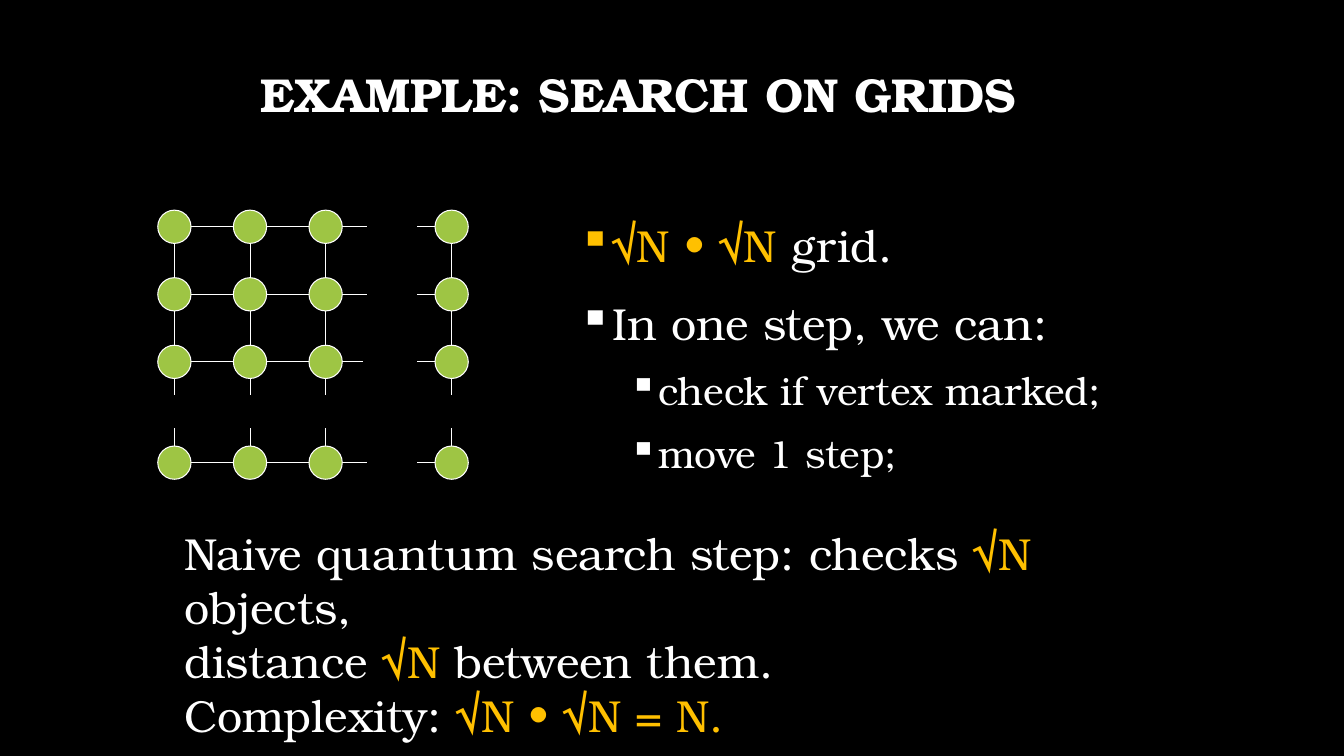
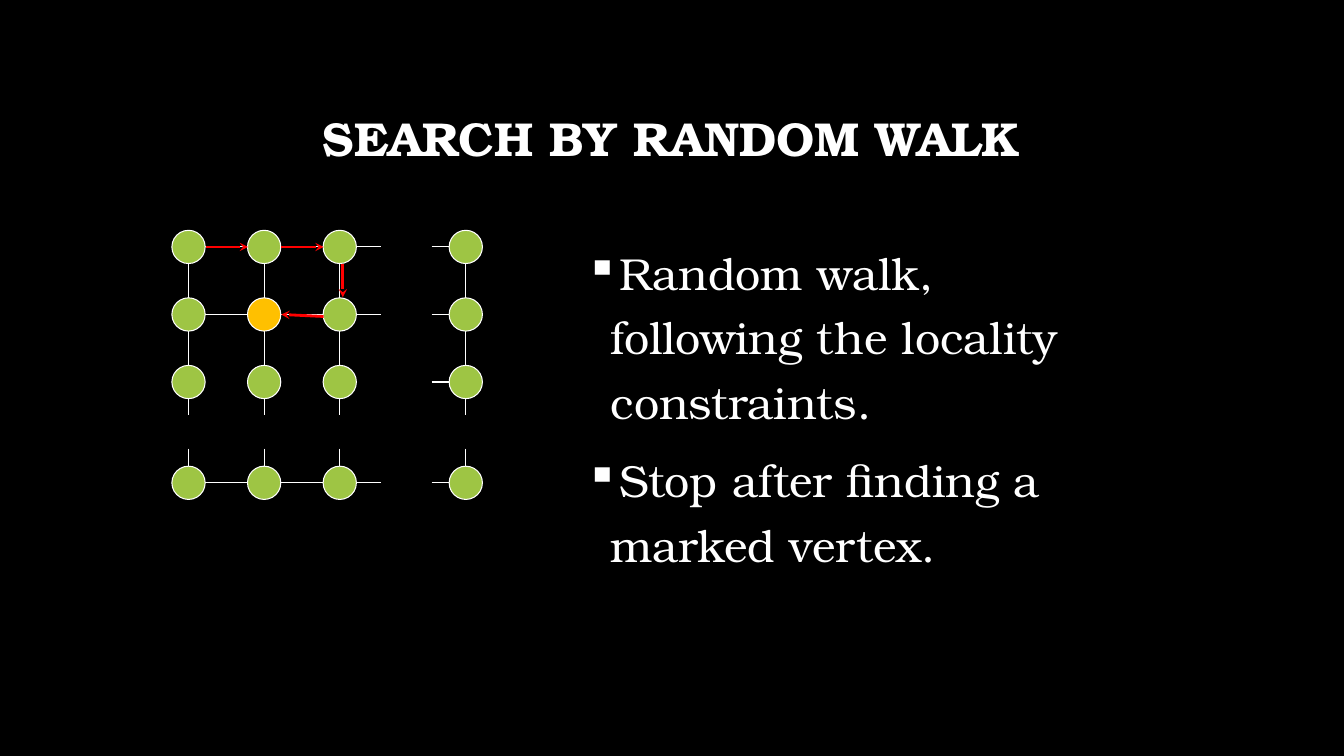
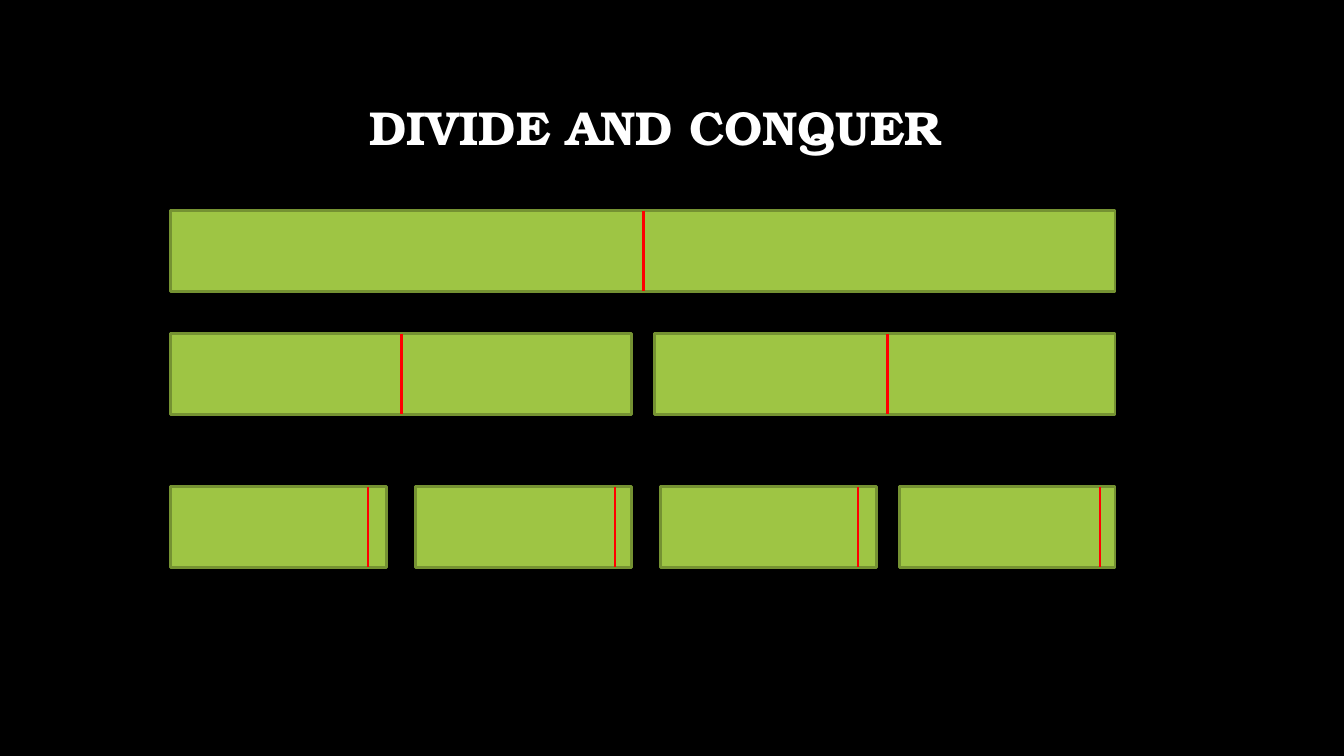
"""Build three slides on quantum search over grids."""
from dataclasses import dataclass
from itertools import product
from typing import NamedTuple, Optional

from lxml.etree import SubElement
from pptx import Presentation
from pptx.dml.color import RGBColor
from pptx.enum.shapes import MSO_CONNECTOR, MSO_SHAPE
from pptx.enum.text import MSO_ANCHOR, MSO_AUTO_SIZE, PP_ALIGN
from pptx.oxml.ns import qn
from pptx.util import Inches, Pt

STRAIGHT = MSO_CONNECTOR.STRAIGHT
OVAL, RECTANGLE = MSO_SHAPE.OVAL, MSO_SHAPE.RECTANGLE
MIDDLE, CENTER = MSO_ANCHOR.MIDDLE, PP_ALIGN.CENTER
NO_AUTOFIT = MSO_AUTO_SIZE.NONE

FONT = "TeX Gyre Bonum"
BLACK, WHITE, RED = "000000", "FFFFFF", "FF0000"
GREEN, DARK_GREEN, GOLD = "9EC544", "759232", "FFC000"

COLUMNS = (0, 0.75, 1.5, 2.75)
ROWS = (0, 0.67, 1.34, 2.34)
NODE_SIZE = 0.33
ROW_LENGTH, COLUMN_LENGTH = 1.91, 1.67
BAR_HEIGHT = 0.8


class Box(NamedTuple):
    """Left, top, width and height in inches."""
    left: float
    top: float
    width: float
    height: float

    def lengths(self) -> list:
        """Return the four measures as lengths."""
        return [Inches(value) for value in self]


class Segment(NamedTuple):
    """Start and end of a line in inches."""
    x1: float
    y1: float
    x2: float
    y2: float


class Span(NamedTuple):
    """A piece of text in one colour."""
    text: str
    color: str = WHITE


@dataclass(frozen=True)
class TextLine:
    """A paragraph, bulleted when it has an indent."""
    spans: tuple
    size: int = 32
    indent: float = 0
    space_before: int = 0
    line_spacing: float = 1.0


@dataclass(frozen=True)
class Lattice:
    """A grid of vertices; a row shift of None leaves the row unlinked."""
    left: float
    top: float
    row_shifts: tuple
    marked: Optional[tuple] = None


@dataclass(frozen=True)
class BarRow:
    """Equal bars at one height, each with a cut."""
    top: float
    width: float
    lefts: tuple
    cuts: tuple


def rgb(color: str) -> RGBColor:
    """Turn a hex string into a colour."""
    return RGBColor.from_string(color)


def set_attributes(target, values: dict) -> None:
    """Set each named attribute on the target."""
    for name, value in values.items():
        setattr(target, name, value)


def add_span(paragraph, span: Span, size: int, bold: bool = False) -> None:
    """Append a formatted run to the paragraph."""
    run = paragraph.add_run()
    run.text = span.text
    set_attributes(run.font, {"name": FONT, "size": Pt(size), "bold": bold})
    run.font.color.rgb = rgb(span.color)


def add_slide(presentation, title: str, box: Box):
    """Add a title-only slide with the shared title style."""
    slide = presentation.slides.add_slide(presentation.slide_layouts[5])
    shape = slide.shapes.title
    place = dict(zip(("left", "top", "width", "height"), box.lengths()))
    set_attributes(shape, place)
    frame = shape.text_frame
    set_attributes(frame, {"auto_size": NO_AUTOFIT, "word_wrap": True,
                           "vertical_anchor": MIDDLE})
    paragraph = frame.paragraphs[0]
    set_attributes(paragraph, {"alignment": CENTER, "line_spacing": 0.9})
    add_span(paragraph, Span(title), 34, bold=True)
    return slide


def add_text(slide, box: Box, lines: list) -> None:
    """Add a text box holding the given lines."""
    frame = slide.shapes.add_textbox(*box.lengths()).text_frame
    frame.word_wrap = True
    for index, line in enumerate(lines):
        paragraph = frame.add_paragraph() if index else frame.paragraphs[0]
        set_attributes(paragraph, {"line_spacing": line.line_spacing,
                                   "space_before": Pt(line.space_before)})
        if line.indent:
            properties = paragraph._p.get_or_add_pPr()
            properties.set("marL", str(Inches(line.indent)))
            properties.set("indent", str(-Inches(0.25)))
            SubElement(properties, qn("a:buChar")).set("char", "▪")
        for span in line.spans:
            add_span(paragraph, span, line.size)


def add_line(slide, segment: Segment, color: str = WHITE,
             width: float = 0.75, arrow: bool = False) -> None:
    """Draw a straight line, with an arrowhead at its end if asked."""
    ends = [Inches(value) for value in segment]
    connector = slide.shapes.add_connector(STRAIGHT, *ends)
    connector.line.color.rgb = rgb(color)
    connector.line.width = Pt(width)
    properties = connector._element.spPr
    if arrow:
        outline = properties.find(qn("a:ln"))
        SubElement(outline, qn("a:tailEnd")).set("type", "stealth")
    SubElement(properties, qn("a:effectLst"))


def add_figure(slide, kind, box: Box, fill: str, line: str,
               width: float) -> None:
    """Draw a filled and outlined preset shape."""
    shape = slide.shapes.add_shape(kind, *box.lengths())
    shape.shadow.inherit = False
    shape.fill.solid()
    shape.fill.fore_color.rgb = rgb(fill)
    shape.line.color.rgb = rgb(line)
    shape.line.width = Pt(width)


def add_lattice(slide, lattice: Lattice) -> None:
    """Draw the links of the grid, then its vertices."""
    left, top = lattice.left, lattice.top
    right, bottom = left + COLUMNS[-1], top + ROWS[-1]
    for row, shift in zip(ROWS, lattice.row_shifts):
        y = top + row
        if shift is not None:
            start = left + shift
            add_line(slide, Segment(start, y, start + ROW_LENGTH, y))
        add_line(slide, Segment(right - 0.34, y, right, y))
    for column in COLUMNS:
        x = left + column
        add_line(slide, Segment(x, top, x, top + COLUMN_LENGTH))
        add_line(slide, Segment(x, bottom - 0.34, x, bottom))
    for node in product(range(len(COLUMNS)), range(len(ROWS))):
        box = Box(left + COLUMNS[node[0]] - NODE_SIZE / 2,
                  top + ROWS[node[1]] - NODE_SIZE / 2, NODE_SIZE, NODE_SIZE)
        fill = GOLD if node == lattice.marked else GREEN
        add_figure(slide, OVAL, box, fill, WHITE, 0.75)


def bullet(*spans: Span) -> TextLine:
    """Make a first-level bullet."""
    return TextLine(spans, 32, 0.25, 10, 1.2)


def sub_bullet(text: str) -> TextLine:
    """Make a second-level bullet."""
    return TextLine((Span(text),), 28, 0.75, 5, 1.2)


def build_grid_search(presentation) -> None:
    """Build the slide on search on grids."""
    slide = add_slide(presentation, "EXAMPLE: SEARCH ON GRIDS",
                      Box(0.67, 0.24, 11.32, 1.45))
    add_lattice(slide, Lattice(1.73, 2.25, (0, 0, -0.04, 0)))
    add_text(slide, Box(5.64, 2, 5.5, 3.17), [
        bullet(Span("√N • √N ", GOLD), Span("grid.")),
        bullet(Span("In one step, we can:")),
        sub_bullet("check if vertex marked;"),
        sub_bullet("move 1 step;"),
    ])
    add_text(slide, Box(1.73, 5.17, 9.92, 1.72), [
        TextLine((Span("Naive quantum search step: checks "),
                  Span("√N ", GOLD), Span("objects,"))),
        TextLine((Span("distance "), Span("√N ", GOLD),
                  Span("between them."))),
        TextLine((Span("Complexity: "), Span("√N • √N = N.", GOLD))),
    ])


def build_random_walk(presentation) -> None:
    """Build the slide on search by random walk."""
    slide = add_slide(presentation, "SEARCH BY RANDOM WALK",
                      Box(1, 0.67, 11.32, 1.45))
    add_text(slide, Box(5.71, 2.28, 5.46, 2.71), [
        bullet(Span("Random walk, following the locality constraints.")),
        bullet(Span("Stop after finding a marked vertex.")),
    ])
    add_lattice(slide, Lattice(1.87, 2.45, (0, 0, None, 0), marked=(1, 1)))
    walk = (Segment(2.04, 2.45, 2.46, 2.45), Segment(2.79, 2.45, 3.21, 2.45),
            Segment(3.4, 2.62, 3.4, 2.95), Segment(3.21, 3.14, 2.79, 3.12))
    for step in walk:
        add_line(slide, step, RED, 2, arrow=True)


def build_divide_and_conquer(presentation) -> None:
    """Build the slide on divide and conquer."""
    slide = add_slide(presentation, "DIVIDE AND CONQUER ",
                      Box(1.17, 0.48, 10.83, 1.62))
    bar_rows = (
        BarRow(2.09, 9.37, (1.69,), (6.38,)),
        BarRow(3.31, 4.57, (1.69, 6.49), (3.98, 8.8)),
        BarRow(4.83, 2.14, (1.69, 4.12, 6.55, 8.92),
               (3.65, 6.1, 8.51, 10.91)),
    )
    for row in bar_rows:
        for left, cut in zip(row.lefts, row.cuts):
            box = Box(left, row.top, row.width, BAR_HEIGHT)
            add_figure(slide, RECTANGLE, box, GREEN, DARK_GREEN, 2)
            add_line(slide, Segment(cut, row.top, cut, row.top + BAR_HEIGHT),
                     RED, 2)


def main() -> None:
    """Build and save the presentation."""
    presentation = Presentation()
    set_attributes(presentation, {"slide_width": Inches(13.33),
                                  "slide_height": Inches(7.5)})
    background = presentation.slide_master.background.fill
    background.solid()
    background.fore_color.rgb = rgb(BLACK)
    build_grid_search(presentation)
    build_random_walk(presentation)
    build_divide_and_conquer(presentation)
    presentation.save("out.pptx")


if __name__ == "__main__":
    main()
